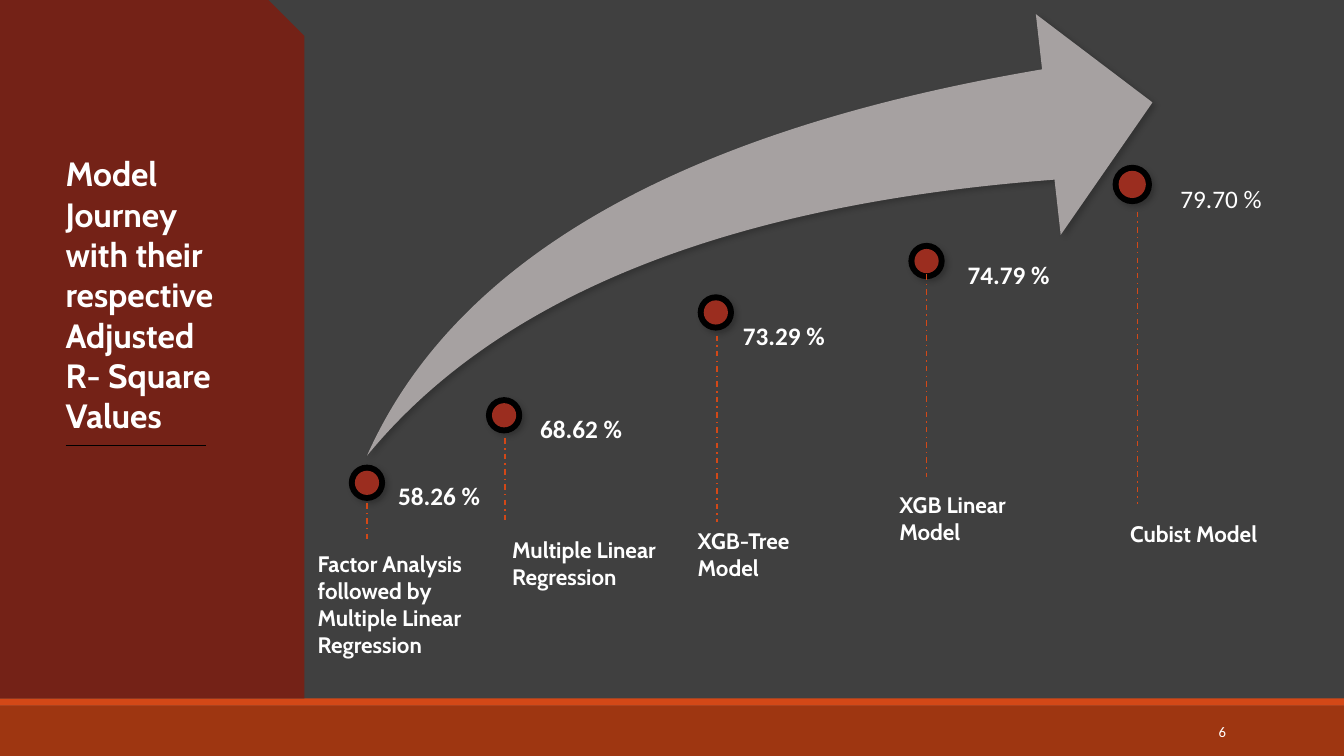
"""Build the slide on the model journey and its adjusted R-square values."""
from dataclasses import dataclass

from lxml.etree import SubElement
from pptx import Presentation
from pptx.dml.color import RGBColor
from pptx.enum.dml import MSO_LINE
from pptx.enum.shapes import MSO_CONNECTOR, MSO_SHAPE
from pptx.enum.text import MSO_ANCHOR, MSO_AUTO_SIZE, PP_ALIGN
from pptx.oxml import parse_xml
from pptx.oxml.ns import qn
from pptx.util import Inches, Pt


@dataclass(frozen=True)
class Theme:
    back: str = "404040"
    footer: str = "9E3611"
    accent: str = "D34817"
    panel: str = "742217"
    arrow: str = "A6A1A1"
    dot: str = "9B2D1F"
    black: str = "000000"
    white: str = "FFFFFF"
    heading: str = "Cabin"
    body: str = "Calibri"
    title_size: float = 24
    value_size: float = 18
    label_size: float = 16
    number_size: float = 10.5


T = Theme()
SHADOW = (
    '<a:effectLst xmlns:a="http://schemas.openxmlformats.org/drawingml/2006/main">'
    '<a:outerShdw blurRad="50800" dist="38100" dir="2700000" algn="tl" rotWithShape="0">'
    '<a:srgbClr val="000000"><a:alpha val="20000"/></a:srgbClr>'
    "</a:outerShdw></a:effectLst>"
)


def add_block(kind, x, y, w, h, color, shadow=False):
    sp = s.shapes.add_shape(kind, Inches(x), Inches(y), Inches(w), Inches(h))
    sp.fill.solid()
    sp.fill.fore_color.rgb = RGBColor.from_string(color)
    sp.line.fill.background()
    if shadow:
        sp.element.spPr.append(parse_xml(SHADOW))
    else:
        sp.shadow.inherit = False
    return sp


def write(sp, text, font, size, bold=True, align=PP_ALIGN.LEFT, anchor=MSO_ANCHOR.TOP, inset=True):
    tf = sp.text_frame
    tf.text = text
    tf.word_wrap = True
    tf.auto_size = MSO_AUTO_SIZE.NONE
    tf.vertical_anchor = anchor
    if not inset:
        tf.margin_left = tf.margin_right = tf.margin_top = tf.margin_bottom = 0
    p = tf.paragraphs[0]
    p.alignment = align
    p.font.name = font
    p.font.size = Pt(size)
    p.font.bold = bold
    p.font.color.rgb = RGBColor.from_string(T.white)


prs = Presentation()
prs.slide_width, prs.slide_height = Inches(13.33), Inches(7.5)
s = prs.slides.add_slide(prs.slide_layouts[5])
s.background.fill.solid()
s.background.fill.fore_color.rgb = RGBColor.from_string(T.back)

add_block(MSO_SHAPE.RECTANGLE, 0, 7, 13.33, 0.5, T.footer)
add_block(MSO_SHAPE.RECTANGLE, 0, 6.93, 13.33, 0.07, T.accent)
panel = add_block(MSO_SHAPE.SNIP_1_RECTANGLE, -0.01, 0, 3.03, 6.93, T.panel)
panel.adjustments[0] = 0.118
swoosh = add_block(MSO_SHAPE.SWOOSH_ARROW, 3.64, 0.14, 7.79, 4.38, T.arrow, shadow=True)
swoosh.adjustments[0] = swoosh.adjustments[1] = 0.25

title = s.shapes.title
title.left, title.top, title.width, title.height = map(Inches, (0.65, 1.52, 1.68, 2.83))
write(title, "Model Journey with their respective Adjusted R- Square Values",
      T.heading, T.title_size, inset=False)
title.element.getparent().append(title.element)

number = s.shapes.add_textbox(Inches(10.83), Inches(7.06), Inches(1.43), Inches(0.4))
write(number, "6", T.body, T.number_size, False, PP_ALIGN.RIGHT, MSO_ANCHOR.MIDDLE)

models = [
    ("Factor Analysis followed by Multiple Linear Regression", "58.26 %",
     (3.64, 4.79, 0.36), (3.64, 4.99, 5.38), (3.15, 5.46, 1.35), (3.85, 4.72)),
    ("Multiple Linear Regression", "68.62 %",
     (5.0, 4.12, 0.36), (5.01, 4.35, 5.18), (5.08, 5.32, 1.08), (5.26, 4.05)),
    ("XGB-Tree Model", "73.29 %",
     (7.1, 3.1, 0.36), (7.11, 3.33, 5.18), (6.92, 5.23, 0.54), (7.27, 3.13)),
    ("XGB Linear Model", "74.79 %",
     (9.19, 2.59, 0.36), (9.19, 2.72, 4.73), (8.92, 4.87, 0.54), (9.5, 2.52)),
    ("Cubist Model", "79.70 %",
     (11.23, 1.83, 0.39), (11.28, 2.1, 5), (11.21, 5.16, 0.27), (11.61, 1.77)),
]
lines = [(0.65, 4.42, 2.04, 4.42, T.black, None)]
for name, value, (cx, cy, ring), (x, top, bottom), (lx, ly, lh), (vx, vy) in models:
    for d, color in ((ring, T.black), (ring - 0.12, T.dot)):
        add_block(MSO_SHAPE.OVAL, cx - d / 2, cy - d / 2, d, d, color, shadow=True)
    label = s.shapes.add_textbox(Inches(lx), Inches(ly), Inches(1.56), Inches(lh))
    write(label, name, T.heading, T.label_size, inset=False)
    score = s.shapes.add_textbox(Inches(vx), Inches(vy), Inches(1.07), Inches(0.4))
    write(score, value, T.body, T.value_size, bold=name != "Cubist Model")
    lines.append((x, top, x, bottom, T.accent, MSO_LINE.DASH_DOT))

for x1, y1, x2, y2, color, dash in lines:
    line = s.shapes.add_connector(MSO_CONNECTOR.STRAIGHT, Inches(x1), Inches(y1), Inches(x2), Inches(y2))
    line.line.color.rgb = RGBColor.from_string(color)
    line.line.width = Pt(1)
    line.line.dash_style = dash
    SubElement(line.element.spPr, qn("a:effectLst"))

prs.save("out.pptx")
